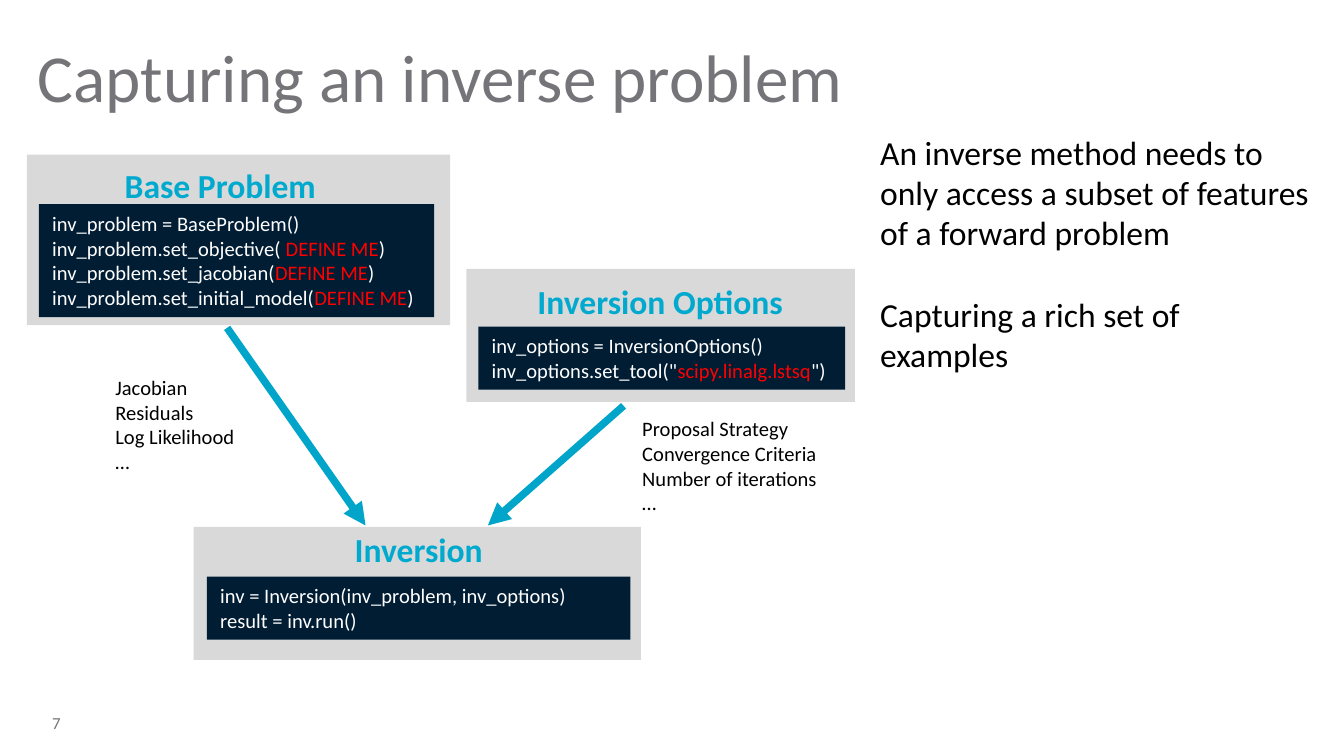
from lxml.etree import SubElement
from pptx import Presentation
from pptx.dml.color import RGBColor
from pptx.enum.shapes import MSO_CONNECTOR, MSO_SHAPE
from pptx.enum.text import MSO_ANCHOR as Anchor, PP_ALIGN as Align
from pptx.oxml.ns import qn
from pptx.util import Inches, Pt

SLIDE_WIDTH = 10
SLIDE_HEIGHT = SLIDE_WIDTH * 9 / 16
COLORS = {
    "panel": "D9D9D9", "code": "001D34", "heading": "00A9CE", "arrow": "00A5C9",
    "grey": "757579", "black": "000000", "white": "FFFFFF", "blank": "FF0000",
}
FONT = "Calibri"
TITLE = "Capturing an inverse problem"
PAGE = "7"
REMARKS = [
    "An inverse method needs to only access a subset of features of a forward problem",
    "Capturing a rich set of examples",
]
# Boxes are (left, top, width, height) in inches.
# A code line is a tuple of runs; every second run is a part to fill in.
PANELS = [
    {"heading": "Inversion", "box": (1.44, 3.92, 3.33, 0.99),
     "heading_box": (2.54, 3.89, 1.16, 0.4), "code_box": (1.54, 4.29, 3.15, 0.47),
     "code": [("inv = Inversion(inv_problem, inv_options)",),
              ("result = inv.run()",)]},
    {"heading": "Inversion Options", "box": (3.47, 2, 2.89, 0.99),
     "heading_box": (3.9, 2.04, 2.04, 0.4), "code_box": (3.56, 2.43, 2.73, 0.47),
     "code": [("inv_options = InversionOptions()",),
              ('inv_options.set_tool("', "scipy.linalg.lstsq", '")')]},
    {"heading": "Base Problem", "box": (0.2, 1.15, 3.15, 1.27),
     "heading_box": (0.83, 1.18, 1.64, 0.4), "code_box": (0.29, 1.52, 2.94, 0.84),
     "code": [("inv_problem = BaseProblem()",),
              ("inv_problem.set_objective( ", "DEFINE ME", ")"),
              ("inv_problem.set_jacobian(", "DEFINE ME", ")"),
              ("inv_problem.set_initial_model(", "DEFINE ME", ")")]},
]
FLOWS = [
    {"start": (1.69, 2.44), "end": (2.72, 3.91), "box": (0.76, 2.74, 1.09, 0.84),
     "passes": ["Jacobian", "Residuals", "Log Likelihood", "…"]},
    {"start": (4.64, 3.02), "end": (3.63, 3.91), "box": (4.68, 3.05, 1.52, 0.84),
     "passes": ["Proposal Strategy", "Convergence Criteria", "Number of iterations", "…"]},
]


def rgb(color):
    return RGBColor.from_string(COLORS[color])


def inches(lengths):
    return [Inches(length) for length in lengths]


def style(font, size, color, bold=False):
    font.name, font.size, font.bold = FONT, Pt(size), bold
    font.color.rgb = rgb(color)


def write(frame, lines, size, color, bold=False, align=Align.LEFT, gap=0):
    """Fill a frame with one paragraph per line, with gap points between them."""
    frame.text = "\n".join(lines)
    for index, paragraph in enumerate(frame.paragraphs):
        paragraph.alignment = align
        if index and gap:
            paragraph.space_before = Pt(gap)
        for run in paragraph.runs:
            style(run.font, size, color, bold)


def remove_insets(frame, anchor):
    frame.margin_left = frame.margin_right = frame.margin_top = frame.margin_bottom = 0
    frame.vertical_anchor = anchor


def add_text(slide, box, lines, size, color, wrap=False, **options):
    frame = slide.shapes.add_textbox(*inches(box)).text_frame
    frame.word_wrap = wrap
    write(frame, lines, size, color, **options)
    return frame


def add_block(slide, box, color):
    block = slide.shapes.add_shape(MSO_SHAPE.RECTANGLE, *inches(box))
    block.shadow.inherit = False
    block.fill.solid()
    block.fill.fore_color.rgb = rgb(color)
    block.line.fill.background()
    return block


def add_code(slide, box, code):
    frame = add_block(slide, box, "code").text_frame
    frame.word_wrap = True
    frame.vertical_anchor = Anchor.TOP
    for index, parts in enumerate(code):
        paragraph = frame.add_paragraph() if index else frame.paragraphs[0]
        paragraph.alignment = Align.LEFT
        for position, part in enumerate(parts):
            run = paragraph.add_run()
            run.text = part
            style(run.font, 11, "blank" if position % 2 else "white")


def add_arrow(slide, start, end):
    arrow = slide.shapes.add_connector(MSO_CONNECTOR.STRAIGHT, *inches(start + end))
    arrow.line.color.rgb = rgb("arrow")
    arrow.line.width = Pt(4)
    line = arrow._element.spPr.find(qn("a:ln"))
    SubElement(line, qn("a:tailEnd"), type="triangle")
    SubElement(arrow._element.spPr, qn("a:effectLst"))


def main():
    deck = Presentation()
    deck.slide_width, deck.slide_height = inches((SLIDE_WIDTH, SLIDE_HEIGHT))
    slide = deck.slides.add_slide(deck.slide_layouts[5])

    title = slide.shapes.title
    title.left, title.top, title.width, title.height = inches((0.28, 0.26, 9.45, 0.7))
    remove_insets(title.text_frame, Anchor.TOP)
    write(title.text_frame, [TITLE], 36, "grey")

    for panel in PANELS:
        add_block(slide, panel["box"], "panel")
        add_code(slide, panel["code_box"], panel["code"])
        add_text(slide, panel["heading_box"], [panel["heading"]], 18, "heading", bold=True)
    for flow in FLOWS:
        add_arrow(slide, flow["start"], flow["end"])
        add_text(slide, flow["box"], flow["passes"], 11, "black")

    add_text(slide, (6.45, 0.93, 3.42, 2.52), REMARKS, 18, "black", wrap=True, gap=22)
    page = add_text(slide, (0.28, 5.33, 0.28, 0.1), [PAGE], 9, "grey",
                    wrap=True, align=Align.CENTER)
    remove_insets(page, Anchor.MIDDLE)
    deck.save("out.pptx")


if __name__ == "__main__":
    main()
